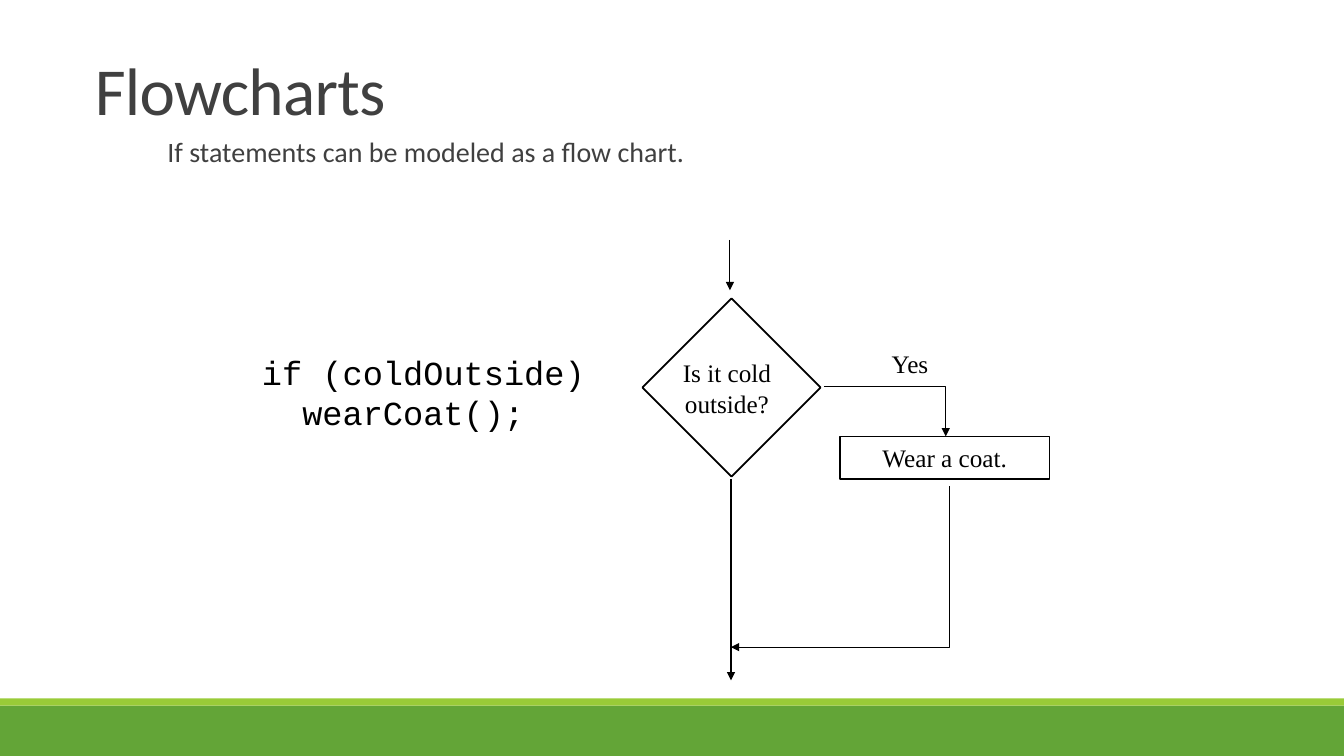
from dataclasses import dataclass

import pptx
import pptx.dml.color
import pptx.enum.shapes
import pptx.enum.text
import pptx.oxml.ns
import pptx.oxml.xmlchemy
import pptx.util

Inches = pptx.util.Inches
Pt = pptx.util.Pt
Align = pptx.enum.text.PP_ALIGN
Anchor = pptx.enum.text.MSO_ANCHOR
Fit = pptx.enum.text.MSO_AUTO_SIZE
Link = pptx.enum.shapes.MSO_CONNECTOR
qn = pptx.oxml.ns.qn
new_element = pptx.oxml.xmlchemy.OxmlElement

INK = "000000"
GREY = "404040"
LIME = "99CB38"
SERIF = "Times New Roman"


@dataclass
class Block:
    left: float
    top: float
    width: float
    height: float
    fill: str
    line: str = ""
    rotation: float = 0


@dataclass
class Label:
    text: str
    left: float
    top: float
    width: float
    height: float
    font: str = SERIF
    size: float = 18
    align: Align = Align.CENTER


@dataclass
class Arrow:
    start: tuple[float, float]
    end: tuple[float, float]
    kind: Link = Link.STRAIGHT
    preset: str = "line"
    bend: int | None = None


BARS = [
    Block(0, 7, 13.33, 0.5, "63A537"),
    Block(0, 6.93, 13.33, 0.07, LIME),
]
DECISION = Block(6.63, 3.22, 1.25, 1.25, "FFFFFF", INK, 45)
ACTION = Block(8.33, 4.33, 2.08, 0.42, "FFFFFF", INK)
ARROWS = [
    Arrow((7.24, 2.38), (7.24, 2.88)),
    Arrow((7.25, 4.75), (7.25, 6.75)),
    Arrow((8.17, 3.83), (9.38, 4.33), Link.ELBOW, "bentConnector2"),
    Arrow((9.42, 4.83), (7.25, 6.42), Link.ELBOW, "bentConnector3", 200),
]
FLOW_LABELS = [
    Label("Yes", 8.73, 3.41, 0.59, 0.4),
    Label("Is it cold\noutside?", 6.67, 3.5, 1.08, 0.7),
]
CODE = Label("if (coldOutside)\nwearCoat();", 2.5, 3.44, 3.43, 0.91,
             "Courier New", 24, Align.LEFT)


def colour(value: str) -> pptx.dml.color.RGBColor:
    return pptx.dml.color.RGBColor.from_string(value)


def place(box, left: float, top: float, width: float, height: float) -> None:
    box.left, box.top = Inches(left), Inches(top)
    box.width, box.height = Inches(width), Inches(height)


def format_text(frame, font: str, size: float, ink: str, align: Align) -> None:
    for para in frame.paragraphs:
        para.alignment = align
        for span in para.runs:
            span.font.name = font
            span.font.size = Pt(size)
            span.font.color.rgb = colour(ink)


def draw_block(shapes, block: Block):
    box = shapes.add_shape(
        pptx.enum.shapes.MSO_SHAPE.RECTANGLE, Inches(block.left),
        Inches(block.top), Inches(block.width), Inches(block.height))
    box.shadow.inherit = False
    box.rotation = block.rotation
    box.fill.solid()
    box.fill.fore_color.rgb = colour(block.fill)
    if block.line:
        box.line.color.rgb = colour(block.line)
        box.line.width = Pt(1.25)
    else:
        box.line.fill.background()
    return box


def draw_label(shapes, label: Label):
    box = shapes.add_textbox(Inches(label.left), Inches(label.top),
                             Inches(label.width), Inches(label.height))
    frame = box.text_frame
    frame.text = label.text
    frame.word_wrap = False
    frame.auto_size = Fit.SHAPE_TO_FIT_TEXT
    format_text(frame, label.font, label.size, INK, label.align)
    return box


def draw_arrow(shapes, arrow: Arrow) -> None:
    (x1, y1), (x2, y2) = arrow.start, arrow.end
    connector = shapes.add_connector(arrow.kind, Inches(x1), Inches(y1),
                                     Inches(x2), Inches(y2))
    connector.line.color.rgb = colour(INK)
    connector.line.width = Pt(0.75)
    properties = connector._element.spPr
    geometry = properties.find(qn("a:prstGeom"))
    geometry.set("prst", arrow.preset)
    if arrow.bend is not None:
        guide = new_element("a:gd")
        guide.set("name", "adj1")
        guide.set("fmla", f"val {arrow.bend}")
        geometry.find(qn("a:avLst")).append(guide)
    head = new_element("a:tailEnd")
    head.set("type", "triangle")
    properties.find(qn("a:ln")).append(head)
    properties.append(new_element("a:effectLst"))


def fill_title(box) -> None:
    place(box, 0.84, -0.12, 11.5, 1.45)
    frame = box.text_frame
    frame.text = "Flowcharts"
    frame.vertical_anchor = Anchor.BOTTOM
    frame.auto_size = Fit.NONE
    format_text(frame, "Calibri", 48, GREY, Align.LEFT)
    para = frame.paragraphs[0]
    para.line_spacing = 0.85
    para.runs[0].font._element.set("spc", "-50")


def fill_body(box) -> None:
    place(box, 1.56, 1.32, 9.07, 1.13)
    frame = box.text_frame
    frame.text = "If statements can be modeled as a flow chart."
    frame.margin_left = frame.margin_right = 0
    frame.auto_size = Fit.NONE
    format_text(frame, "Calibri", 20, GREY, Align.LEFT)
    para = frame.paragraphs[0]
    para.line_spacing = 0.9
    para.space_before, para.space_after = Pt(12), Pt(2)
    properties = para._element.get_or_add_pPr()
    properties.set("marL", str(Inches(0.1)))
    properties.set("indent", str(Inches(-0.1)))
    bullet = new_element("a:buChar")
    bullet.set("char", " ")
    properties.append(bullet)


def main() -> None:
    deck = pptx.Presentation()
    deck.slide_width, deck.slide_height = Inches(13.33), Inches(7.5)
    page = deck.slides.add_slide(deck.slide_layouts[1])
    for bar in BARS:
        draw_block(page.shapes, bar)
    fill_title(page.shapes.title)
    fill_body(page.placeholders[1])

    flowchart = page.shapes.add_group_shape().shapes
    draw_block(flowchart, DECISION)
    frame = draw_block(flowchart, ACTION).text_frame
    frame.text = "Wear a coat."
    frame.word_wrap = False
    frame.vertical_anchor = Anchor.MIDDLE
    frame.auto_size = Fit.TEXT_TO_FIT_SHAPE
    format_text(frame, SERIF, 18, INK, Align.CENTER)
    for arrow in ARROWS:
        draw_arrow(flowchart, arrow)
    for label in FLOW_LABELS:
        draw_label(flowchart, label)

    code = draw_label(page.shapes, CODE)
    body_line = code.text_frame.paragraphs[1]
    body_line._element.get_or_add_pPr().set("marL", str(Inches(0.4)))
    deck.save("out.pptx")


if __name__ == "__main__":
    main()
